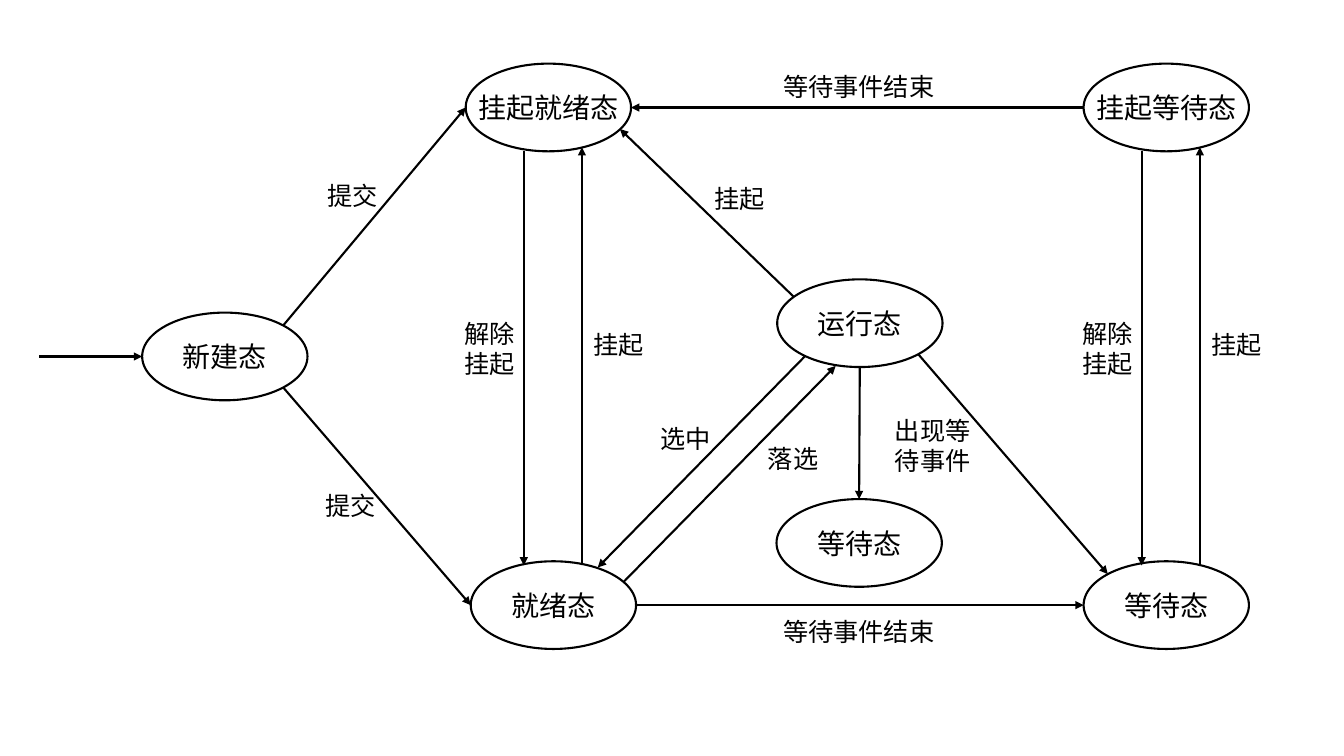
from dataclasses import dataclass
from math import cos, pi, sin

from lxml import etree
from pptx import Presentation
from pptx.dml.color import RGBColor
from pptx.enum.shapes import MSO_CONNECTOR, MSO_SHAPE
from pptx.enum.text import MSO_ANCHOR, PP_ALIGN
from pptx.oxml.ns import qn
from pptx.util import Inches, Pt

STRAIGHT = MSO_CONNECTOR.STRAIGHT
OVAL = MSO_SHAPE.OVAL
MIDDLE = MSO_ANCHOR.MIDDLE
LEFT_ALIGN = PP_ALIGN.LEFT
CENTER_ALIGN = PP_ALIGN.CENTER

SLIDE_W, SLIDE_H = Inches(13.33), Inches(7.5)
COLUMNS, ROWS = 40, 22.5
STATE_W, STATE_H = 4.92, 2.61
TOP, TOP_LEFT, LEFT, BOTTOM_LEFT, BOTTOM, BOTTOM_RIGHT, RIGHT, TOP_RIGHT = range(8)


@dataclass(frozen=True)
class Theme:
    ink: RGBColor = RGBColor(0, 0, 0)
    font: str = "Noto Sans CJK SC"
    state_size: float = 20
    label_size: float = 18
    line_width: float = 1.5
    line_pitch: float = 1.2


THEME = Theme()

STATES = {
    "running": ("运行态", 25.59, 9.62),
    "ready": ("就绪态", 16.47, 18.01),
    "waiting": ("等待态", 34.71, 18.01),
    "inner_waiting": ("等待态", 25.57, 16.16),
    "suspended_waiting": ("挂起等待态", 34.71, 3.2),
    "suspended_ready": ("挂起就绪态", 16.32, 3.2),
    "new": ("新建态", 6.69, 10.61),
}

JOINED_TRANSITIONS = [
    ("new", TOP_RIGHT, "suspended_ready", LEFT),
    ("new", BOTTOM_RIGHT, "ready", LEFT),
    ("ready", RIGHT, "waiting", LEFT),
    ("running", BOTTOM_RIGHT, "waiting", TOP_LEFT),
    ("running", BOTTOM, "inner_waiting", TOP),
    ("suspended_waiting", LEFT, "suspended_ready", RIGHT),
]

FREE_TRANSITIONS = [
    ((23.97, 10.59), (17.79, 16.89)),
    ((18.57, 17.31), (24.87, 10.89)),
    ((23.61, 8.82), (18.45, 3.84)),
]

LABELS = [
    ("出现等\n待事件", 26.34, 12.21),
    ("落选", 22.56, 13.05),
    ("选中", 19.35, 12.45),
    ("等待事件结束", 23.01, 18.18),
    ("等待事件结束", 23.01, 1.98),
    ("提交", 9.45, 5.22),
    ("提交", 9.39, 14.43),
    ("挂起", 20.97, 5.31),
]


def col(count):
    return round(SLIDE_W * count / COLUMNS)


def row(count):
    return round(SLIDE_H * count / ROWS)


def write(frame, text, size, align):
    frame.word_wrap = False
    frame.vertical_anchor = MIDDLE
    frame.text = text
    for paragraph in frame.paragraphs:
        paragraph.alignment = align
        paragraph.line_spacing = Pt(size * THEME.line_pitch)
        font = paragraph.font
        font.size = Pt(size)
        font.name = THEME.font
        font.color.rgb = THEME.ink
        east_asian = etree.SubElement(font._element, qn("a:ea"))
        east_asian.set("typeface", THEME.font)


def add_state(slide, name, x, y):
    state = slide.shapes.add_shape(
        OVAL, col(x - STATE_W / 2), row(y - STATE_H / 2), col(STATE_W), row(STATE_H))
    state.shadow.inherit = False
    state.fill.background()
    state.line.color.rgb = THEME.ink
    state.line.width = Pt(THEME.line_width)
    write(state.text_frame, name, THEME.state_size, CENTER_ALIGN)
    return state


def add_label(slide, text, x, y):
    lines = text.split("\n")
    width = 0.75 * max(map(len, lines)) + 0.6
    height = 0.9 * len(lines) + 0.3
    label = slide.shapes.add_textbox(col(x), row(y), col(width), row(height))
    write(label.text_frame, text, THEME.label_size, LEFT_ALIGN)


def add_arrow(slide, start, end):
    arrow = slide.shapes.add_connector(
        STRAIGHT, col(start[0]), row(start[1]), col(end[0]), row(end[1]))
    arrow.line.color.rgb = THEME.ink
    arrow.line.width = Pt(THEME.line_width)
    etree.SubElement(arrow.line._get_or_add_ln(), qn("a:tailEnd")).set("type", "triangle")
    etree.SubElement(arrow._element.spPr, qn("a:effectLst"))
    return arrow


def site_point(key, site):
    _, x, y = STATES[key]
    angle = site * pi / 4
    return x - STATE_W / 2 * sin(angle), y - STATE_H / 2 * cos(angle)


def join(arrow, end_tag, state, site):
    links = arrow._element.find(qn("p:nvCxnSpPr")).find(qn("p:cNvCxnSpPr"))
    link = etree.SubElement(links, qn(end_tag))
    link.set("id", str(state.shape_id))
    link.set("idx", str(site))


def add_suspension_pair(slide, x):
    add_arrow(slide, (x - 0.73, 4.5), (x - 0.73, 16.83))
    add_arrow(slide, (x + 1, 16.83), (x + 1, 4.38))
    add_label(slide, "解除\n挂起", x - 2.79, 9.33)
    add_label(slide, "挂起", x + 1.05, 9.66)


def main():
    deck = Presentation()
    deck.slide_width, deck.slide_height = SLIDE_W, SLIDE_H
    slide = deck.slides.add_slide(deck.slide_layouts[6])

    states = {key: add_state(slide, *state) for key, state in STATES.items()}
    for source, source_site, target, target_site in JOINED_TRANSITIONS:
        arrow = add_arrow(
            slide, site_point(source, source_site), site_point(target, target_site))
        join(arrow, "a:stCxn", states[source], source_site)
        join(arrow, "a:endCxn", states[target], target_site)
    for start, end in FREE_TRANSITIONS:
        add_arrow(slide, start, end)

    entry_x, entry_y = site_point("new", LEFT)
    entry = add_arrow(slide, (1.17, entry_y), (entry_x, entry_y))
    join(entry, "a:endCxn", states["new"], LEFT)

    for key in ("suspended_ready", "suspended_waiting"):
        add_suspension_pair(slide, STATES[key][1])
    for label in LABELS:
        add_label(slide, *label)

    deck.save("out.pptx")


if __name__ == "__main__":
    main()
